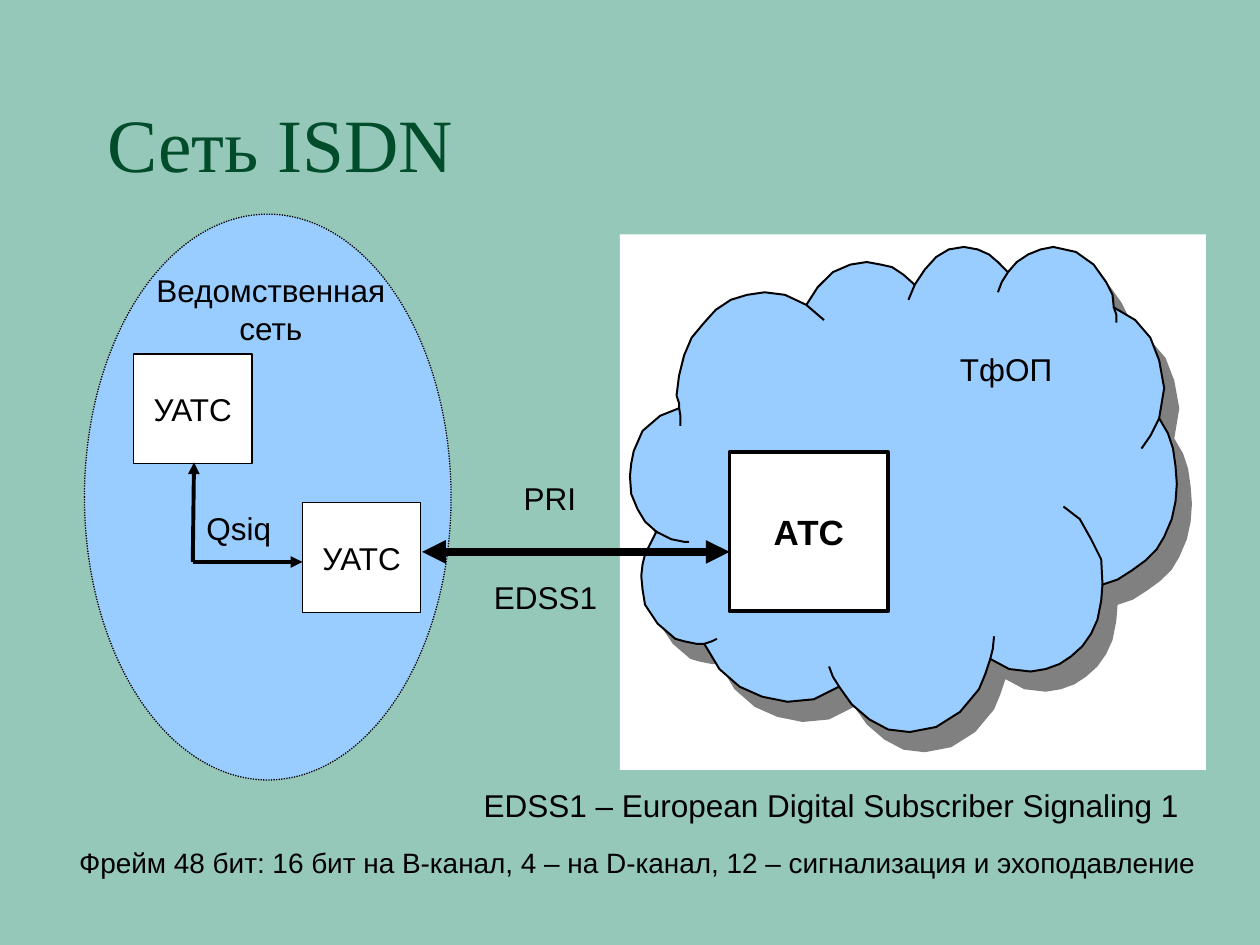
from pptx import Presentation
from pptx.dml.color import RGBColor
from pptx.enum.dml import MSO_LINE
from pptx.enum.shapes import MSO_CONNECTOR, MSO_SHAPE
from pptx.enum.text import MSO_ANCHOR, MSO_AUTO_SIZE, PP_ALIGN
from pptx.oxml.ns import qn
from pptx.util import Emu, Pt
from lxml.etree import SubElement

PX = 9144  # EMU per px, 100 px to the inch
COLORS = {"bg": "96C8BA", "title": "004C2B", "net": "99CCFF",
          "shadow": "808080", "white": "FFFFFF", "black": "000000"}

# Cloud outline, step by step as x, y in px
CLOUD = [
    (539, 324), (524, 330), (510, 342), (503, 358), (501, 368), (500, 378),
    (501, 392), (506, 404), (512, 414), (521, 422), (512, 440), (510, 448),
    (509, 457), (510, 468), (512, 480), (522, 495), (536, 507), (543, 509),
    (553, 511), (559, 511), (571, 531), (587, 545), (605, 553), (625, 557),
    (646, 555), (666, 545), (676, 559), (690, 571), (705, 579), (722, 581),
    (743, 577), (762, 565), (777, 547), (782, 535), (786, 523), (801, 531),
    (818, 533), (830, 531), (841, 527), (850, 521), (859, 513), (866, 503),
    (871, 492), (874, 477), (875, 464), (887, 460), (898, 453), (909, 445),
    (918, 436), (924, 426), (930, 412), (933, 398), (934, 384), (933, 370),
    (931, 356), (927, 344), (920, 332), (922, 320), (924, 308), (920, 286),
    (913, 268), (901, 254), (884, 244), (883, 234), (878, 224), (868, 210),
    (854, 200), (836, 196), (826, 198), (816, 202), (807, 208), (800, 216),
    (792, 208), (785, 202), (776, 198), (765, 196), (753, 198), (743, 204),
    (734, 214), (726, 226), (717, 218), (708, 212), (699, 210), (688, 208),
    (675, 210), (661, 216), (649, 228), (640, 242), (623, 234), (607, 232),
    (593, 234), (580, 238), (568, 246), (559, 256), (549, 268), (543, 282),
    (539, 298), (537, 314), (539, 320)]
SHADOW_OFFSET = (12, 16)

# Short folds that run from the outline into the cloud
FOLDS = [
    [(521, 422), (533, 428), (543, 430), (547, 430)],
    [(559, 511), (565, 509), (569, 507)],
    [(658, 529), (661, 537), (666, 545)],
    [(786, 523), (788, 515), (789, 505)],
    [(875, 464), (874, 444), (866, 428), (857, 412), (844, 402)],
    [(906, 356), (913, 346), (920, 332)],
    [(886, 256), (886, 250), (884, 244)],
    [(800, 216), (795, 224), (792, 232)],
    [(726, 226), (721, 238)],
    [(654, 254), (640, 242)],
    [(539, 324), (540, 330), (540, 338)]]

LABELS = [
    ((751, 273, 95, 40), ["ТфОП"]),
    ((113, 210, 204, 70), ["Ведомственная", "сеть"]),
    ((404, 375, 65, 40), ["PRI"]),
    ((381, 454, 104, 40), ["EDSS1"]),
    ((152, 399, 75, 40), ["Qsiq"])]


def rgb(name):
    return RGBColor.from_string(COLORS[name])


def emu(values):
    return [Emu(v * PX) for v in values]


def paint(sp, fill=None, width=None, dash=None):
    """Set fill and line; None leaves the part out."""
    sp.shadow.inherit = False
    if fill:
        sp.fill.solid()
        sp.fill.fore_color.rgb = rgb(fill)
    else:
        sp.fill.background()
    if width:
        sp.line.color.rgb = rgb("black")
        sp.line.width = Pt(width)
        if dash:
            sp.line.dash_style = dash
    else:
        sp.line.fill.background()


def write(sp, lines, size=18, align=PP_ALIGN.CENTER, color="black",
          font="Arial", bold=False, **frame):
    tf = sp.text_frame
    for name, value in frame.items():
        setattr(tf, name, value)
    for i, line in enumerate(lines):
        p = tf.paragraphs[0] if i == 0 else tf.add_paragraph()
        p.alignment = align
        r = p.add_run()
        r.text = line
        for name, value in {"size": Pt(size), "name": font, "bold": bold}.items():
            setattr(r.font, name, value)
        r.font.color.rgb = rgb(color)


def add_title(s, box, text):
    sp = s.shapes.title
    sp.left, sp.top, sp.width, sp.height = emu(box)
    write(sp, [text], 43, PP_ALIGN.LEFT, "title", "Times New Roman",
          vertical_anchor=MSO_ANCHOR.MIDDLE)


def add_label(s, box, lines, size=18, align=PP_ALIGN.CENTER):
    sp = s.shapes.add_textbox(*emu(box))
    write(sp, lines, size, align, word_wrap=False,
          auto_size=MSO_AUTO_SIZE.NONE)


def add_area(s, kind, box, fill, width=None, dash=None):
    sp = s.shapes.add_shape(kind, *emu(box))
    paint(sp, fill, width, dash)
    return sp


def add_station(s, box, text, width=0.75, size=18, bold=False):
    sp = add_area(s, MSO_SHAPE.RECTANGLE, box, "white", width)
    write(sp, [text], size, bold=bold, word_wrap=False,
          vertical_anchor=MSO_ANCHOR.MIDDLE)


def add_path(s, points, close, fill=None, width=None):
    fb = s.shapes.build_freeform(*points[0], scale=PX)
    fb.add_line_segments(points[1:], close=close)
    paint(fb.convert_to_shape(), fill, width)


def add_arrow(s, start, end, width, ends=("tailEnd",)):
    sp = s.shapes.add_connector(MSO_CONNECTOR.STRAIGHT, *emu(start + end))
    sp.line.color.rgb = rgb("black")
    sp.line.width = Pt(width)
    props = sp._element.spPr
    for name in ends:
        SubElement(props.find(qn("a:ln")), qn("a:" + name), type="triangle")
    SubElement(props, qn("a:effectLst"))


def add_cloud(s):
    dx, dy = SHADOW_OFFSET
    add_path(s, [(x + dx, y + dy) for x, y in CLOUD], True, "shadow")
    add_path(s, CLOUD, True, "net", 1.13)
    for fold in FOLDS:
        add_path(s, fold, False, width=1.13)


def main():
    prs = Presentation()
    prs.slide_width, prs.slide_height = emu((1000, 750))
    s = prs.slides.add_slide(prs.slide_layouts[5])
    s.background.fill.solid()
    s.background.fill.fore_color.rgb = rgb("bg")
    add_title(s, (75, 63, 850, 100), "Сеть ISDN")

    # Private network
    add_area(s, MSO_SHAPE.OVAL, (67, 170, 291, 449), "net", 0.75,
             MSO_LINE.ROUND_DOT)
    for x, y in ((240, 399), (106, 281)):
        add_station(s, (x, y, 94, 87), "УАТС")
    for end in ((154, 367), (240, 446)):
        add_arrow(s, (153, 446), end, 2.25)

    # Public network
    add_area(s, MSO_SHAPE.RECTANGLE, (492, 186, 465, 425), "white")
    add_cloud(s)
    add_station(s, (579, 359, 126, 126), "АТС", 2.25, 20, True)

    # Link between the networks, and labels
    add_arrow(s, (335, 438), (579, 438), 4.5, ("headEnd", "tailEnd"))
    for box, lines in LABELS:
        add_label(s, box, lines)

    # Notes under the diagram
    add_label(s, (374, 619, 575, 40),
              ["EDSS1 – European Digital Subscriber Signaling 1"],
              align=PP_ALIGN.LEFT)
    add_label(s, (53, 666, 911, 37),
              ["Фрейм 48 бит: 16 бит на В-канал, 4 – на D-канал, "
               "12 – сигнализация и эхоподавление"], 16, PP_ALIGN.LEFT)
    prs.save("out.pptx")


if __name__ == "__main__":
    main()
